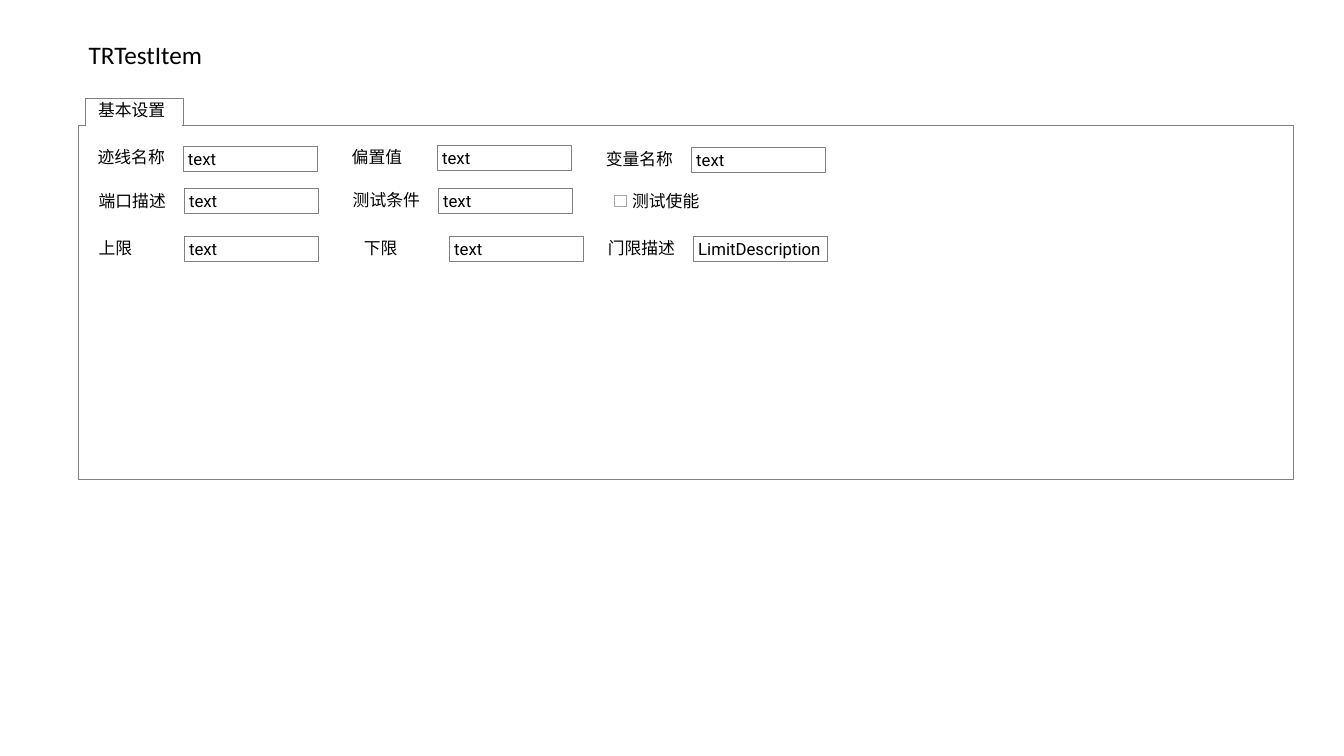
from lxml.etree import SubElement
from pptx import Presentation
from pptx.dml.color import RGBColor
from pptx.enum.shapes import MSO_CONNECTOR, MSO_SHAPE
from pptx.enum.text import MSO_ANCHOR, MSO_AUTO_SIZE, PP_ALIGN
from pptx.oxml.ns import qn
from pptx.util import Inches, Pt

COLORS = {"text": "000000", "paper": "FFFFFF", "border": "808080", "checkbox": "A6A6A6"}
FIELD_OFFSET = 0.945
FIELD_WIDTH = 1.33
ROW_HEIGHT = 0.25

# Label left, label top, label width, label, field top, field text
FIELDS = [
    (0.87, 1.44, 0.88, "迹线名称", 1.45, "text"),
    (3.39, 1.44, 0.71, "偏置值", 1.44, "text"),
    (5.91, 1.46, 0.88, "变量名称", 1.46, "text"),
    (0.88, 1.87, 0.88, "端口描述", 1.87, "text"),
    (3.40, 1.86, 0.88, "测试条件", 1.87, "text"),
    (0.88, 2.34, 0.54, "上限", 2.34, "text"),
    (3.51, 2.34, 0.54, "下限", 2.34, "text"),
    (5.93, 2.34, 0.88, "门限描述", 2.34, "LimitDescription"),
]


def color(name):
    return RGBColor.from_string(COLORS[name])


def write(shape, text, insets, size=12, font="Roboto", anchor=MSO_ANCHOR.MIDDLE,
          align=PP_ALIGN.LEFT, wrap=False):
    frame = shape.text_frame
    frame.text = text
    frame.word_wrap = wrap
    frame.vertical_anchor = anchor
    frame.margin_left, frame.margin_top, frame.margin_right, frame.margin_bottom = map(Inches, insets)
    paragraph = frame.paragraphs[0]
    paragraph.alignment = align
    run = paragraph.runs[0]
    run.font.size = Pt(size)
    run.font.name = font
    run.font.color.rgb = color("text")


def add_box(slide, left, top, width, height, border="border"):
    shape = slide.shapes.add_shape(MSO_SHAPE.RECTANGLE, *map(Inches, (left, top, width, height)))
    shape.shadow.inherit = False
    shape.fill.solid()
    shape.fill.fore_color.rgb = color("paper")
    shape.line.color.rgb = color(border)
    shape.line.width = Pt(0.25)
    return shape


def add_label(slide, left, top, width, height, text, insets=(0.1, 0.02, 0.1, 0.03), **style):
    label = slide.shapes.add_textbox(*map(Inches, (left, top, width, height)))
    write(label, text, insets, **style)
    label.text_frame.auto_size = MSO_AUTO_SIZE.SHAPE_TO_FIT_TEXT


def add_tab_panel(slide, left, top, width, height, title):
    tab_height = 0.27
    add_box(slide, left, top + tab_height, width, height - tab_height)
    tab = add_box(slide, left + 0.06, top, 0.98, tab_height)
    write(tab, title, (0, 0.02, 0.05, 0.05), anchor=MSO_ANCHOR.TOP,
          align=PP_ALIGN.CENTER, wrap=True)
    # White seam opens the tab into the panel
    seam_top = Inches(top + tab_height)
    seam = slide.shapes.add_connector(MSO_CONNECTOR.STRAIGHT, Inches(left + 0.07), seam_top,
                                      Inches(left + 1.03), seam_top)
    seam.line.color.rgb = color("paper")
    seam.line.width = Pt(1)
    SubElement(seam.element.spPr, qn("a:effectLst"))


def add_field(slide, left, top, label_width, label, field_top, value):
    add_label(slide, left, top, label_width, ROW_HEIGHT, label)
    field = add_box(slide, left + FIELD_OFFSET, field_top, FIELD_WIDTH, ROW_HEIGHT)
    write(field, value, (0.05, 0.02, 0.05, 0.02))


def add_checkbox(slide, left, top, width, label):
    add_label(slide, left, top, width, ROW_HEIGHT, label, insets=(0.18, 0.02, 0.05, 0.03))
    add_box(slide, left, top + 0.07, 0.12, 0.11, "checkbox")


def build_slide(presentation):
    slide = presentation.slides.add_slide(presentation.slide_layouts[6])
    # Heading
    add_label(slide, 0.78, 0.34, 1.34, 0.4, "TRTestItem", insets=(0.1, 0.05, 0.1, 0.05),
              size=18, font="Calibri", anchor=MSO_ANCHOR.TOP)
    # Settings form
    add_tab_panel(slide, 0.78, 0.97, 12.05, 3.78, "基本设置")
    for field in FIELDS:
        add_field(slide, *field)
    add_checkbox(slide, 6.09, 1.87, 0.91, "测试使能")


def main():
    presentation = Presentation()
    presentation.slide_width = Inches(13.33)
    presentation.slide_height = Inches(7.5)
    build_slide(presentation)
    presentation.save("out.pptx")


if __name__ == "__main__":
    main()
